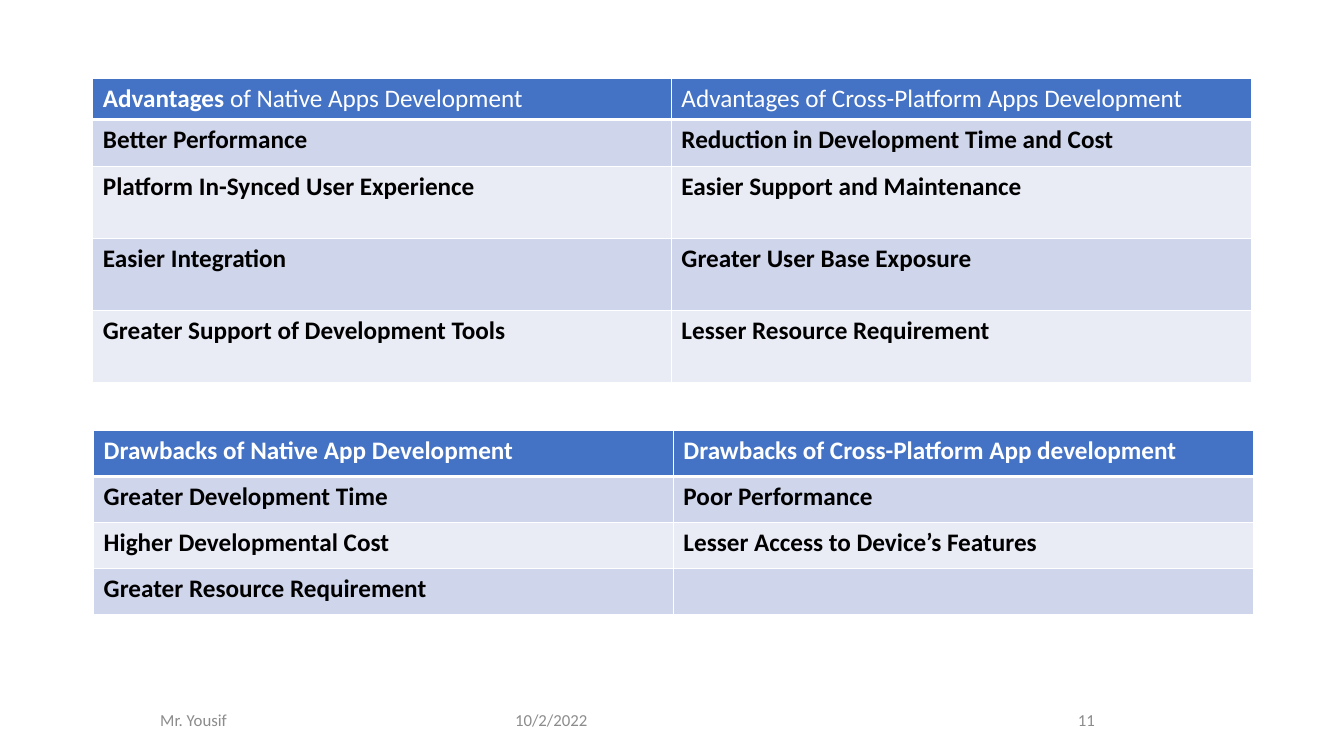
"""Build a slide comparing native and cross-platform app development."""
from dataclasses import dataclass
from typing import Any

import pptx
import pptx.dml.color
import pptx.enum.text
import pptx.oxml
import pptx.oxml.ns
import pptx.util
from pptx.util import Cm

ALIGN = pptx.enum.text.PP_ALIGN
ANCHOR = pptx.enum.text.MSO_ANCHOR
WHITE, BLACK, GREY = "FFFFFF", "000000", "8C8C8C"
HEADER_FILL = "4472C4"
BAND_FILLS = ("CFD5EA", "E9EBF5")


@dataclass(frozen=True)
class Run:
    text: str
    bold: bool = True


@dataclass(frozen=True)
class Comparison:
    left: float
    top: float
    columns: tuple[float, ...]
    heights: tuple[float, ...]
    headings: tuple[tuple[Run, ...], ...]
    points: tuple[tuple[str, ...], ...]


@dataclass(frozen=True)
class FooterPart:
    text: str
    left: float
    width: float
    align: Any


COMPARISONS = (
    Comparison(
        2.34, 1.98, (14.58, 14.63), (1.02, 1.18, 1.82, 1.82, 1.82),
        ((Run("Advantages"), Run(" of Native Apps Development", False)),
         (Run("Advantages of Cross-Platform Apps Development", False),)),
        (("Better Performance", "Reduction in Development Time and Cost"),
         ("Platform In-Synced User Experience", "Easier Support and Maintenance"),
         ("Easier Integration", "Greater User Base Exposure"),
         ("Greater Support of Development Tools", "Lesser Resource Requirement")),
    ),
    Comparison(
        2.36, 10.85, (14.61, 14.61), (1.16,) * 4,
        ((Run("Drawbacks of Native App Development"),),
         (Run("Drawbacks of Cross-Platform App development"),)),
        (("Greater Development Time", "Poor Performance"),
         ("Higher Developmental Cost", "Lesser Access to Device’s Features"),
         ("Greater Resource Requirement", "")),
    ),
)
FOOTER = (
    FooterPart("Mr. Yousif", 2.34, 5.08, ALIGN.CENTER),
    FooterPart("10/2/2022", 12.73, 4.55, ALIGN.LEFT),
    FooterPart("11", 20.22, 7.62, ALIGN.RIGHT),
)


def set_color(color_format: Any, value: str) -> None:
    color_format.rgb = pptx.dml.color.RGBColor.from_string(value)


def apply_format(target: Any, values: dict[str, Any]) -> None:
    for name, value in values.items():
        setattr(target, name, value)


def add_run(paragraph: Any, run: Run, size: float, color: str) -> None:
    written = paragraph.add_run()
    written.text = run.text
    apply_format(written.font, {"name": "Calibri", "size": pptx.util.Pt(size), "bold": run.bold})
    set_color(written.font.color, color)


def add_borders(cell: Any, widths: dict[str, float]) -> None:
    properties = cell._tc.get_or_add_tcPr()
    for side, width in widths.items():
        properties.append(pptx.oxml.parse_xml(
            f'<a:{side} {pptx.oxml.ns.nsdecls("a")} w="{pptx.util.Pt(width)}">'
            f'<a:solidFill><a:srgbClr val="{WHITE}"/></a:solidFill></a:{side}>'
        ))


def fill_cell(cell: Any, runs: tuple[Run, ...], row: int) -> None:
    is_header = row == 0
    add_borders(cell, {"lnL": 1, "lnR": 1, "lnT": 3 if row == 1 else 1, "lnB": 3 if is_header else 1})
    cell.fill.solid()
    set_color(cell.fill.fore_color, HEADER_FILL if is_header else BAND_FILLS[(row - 1) % 2])
    for run in runs:
        add_run(cell.text_frame.paragraphs[0], run, 18, WHITE if is_header else BLACK)


def add_comparison(slide: Any, comparison: Comparison) -> None:
    points = tuple(tuple((Run(text),) if text else () for text in row) for row in comparison.points)
    rows = (comparison.headings,) + points
    table = slide.shapes.add_table(
        len(rows), len(comparison.columns), Cm(comparison.left), Cm(comparison.top),
        Cm(sum(comparison.columns)), Cm(sum(comparison.heights)),
    ).table
    for column, width in zip(table.columns, comparison.columns):
        column.width = Cm(width)
    for row, height in enumerate(comparison.heights):
        table.rows[row].height = Cm(height)
        for column, runs in enumerate(rows[row]):
            fill_cell(table.cell(row, column), runs, row)


def add_footer_part(slide: Any, part: FooterPart) -> None:
    frame = slide.shapes.add_textbox(Cm(part.left), Cm(17.63), Cm(part.width), Cm(1.01)).text_frame
    apply_format(frame, {"word_wrap": True, "vertical_anchor": ANCHOR.MIDDLE})
    paragraph = frame.paragraphs[0]
    paragraph.alignment = part.align
    add_run(paragraph, Run(part.text, False), 12, GREY)


def main() -> None:
    presentation = pptx.Presentation()
    apply_format(presentation, {"slide_width": Cm(33.87), "slide_height": Cm(19.05)})
    slide = presentation.slides.add_slide(presentation.slide_layouts[6])
    for comparison in COMPARISONS:
        add_comparison(slide, comparison)
    for part in FOOTER:
        add_footer_part(slide, part)
    presentation.save("out.pptx")


if __name__ == "__main__":
    main()
